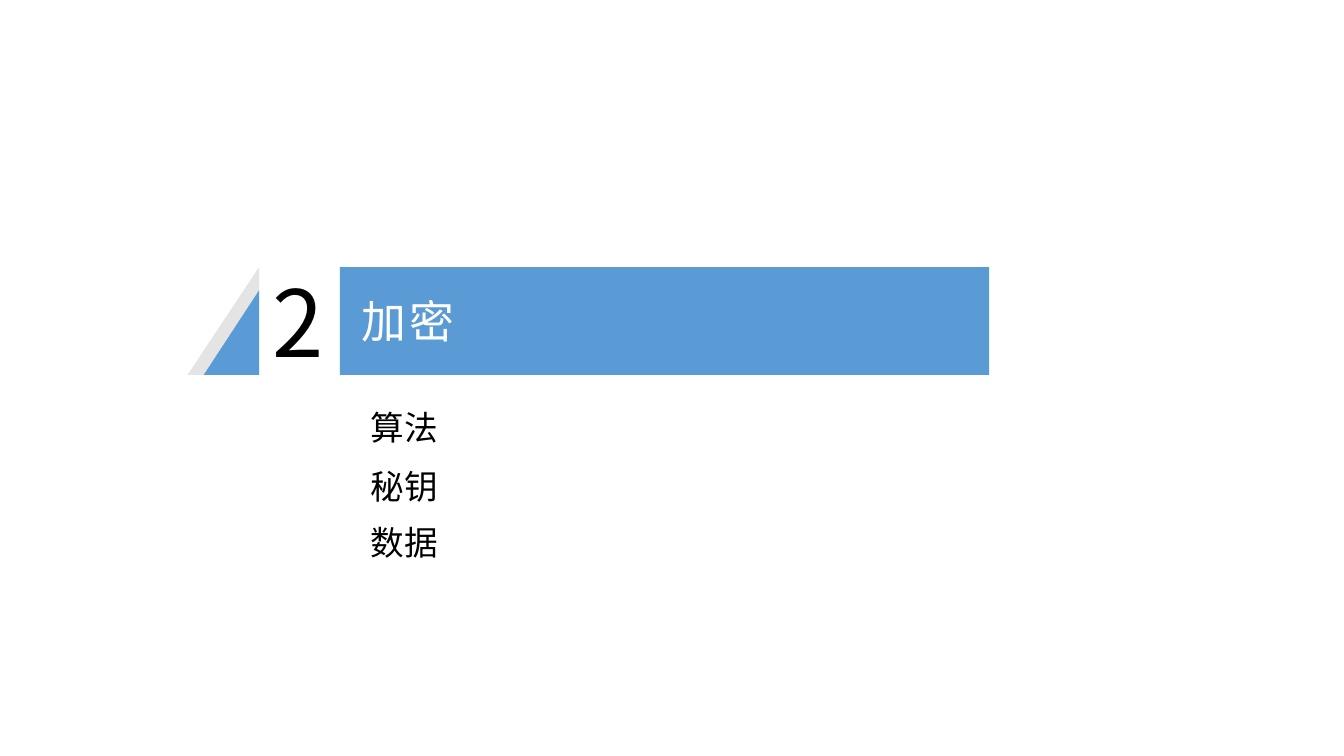
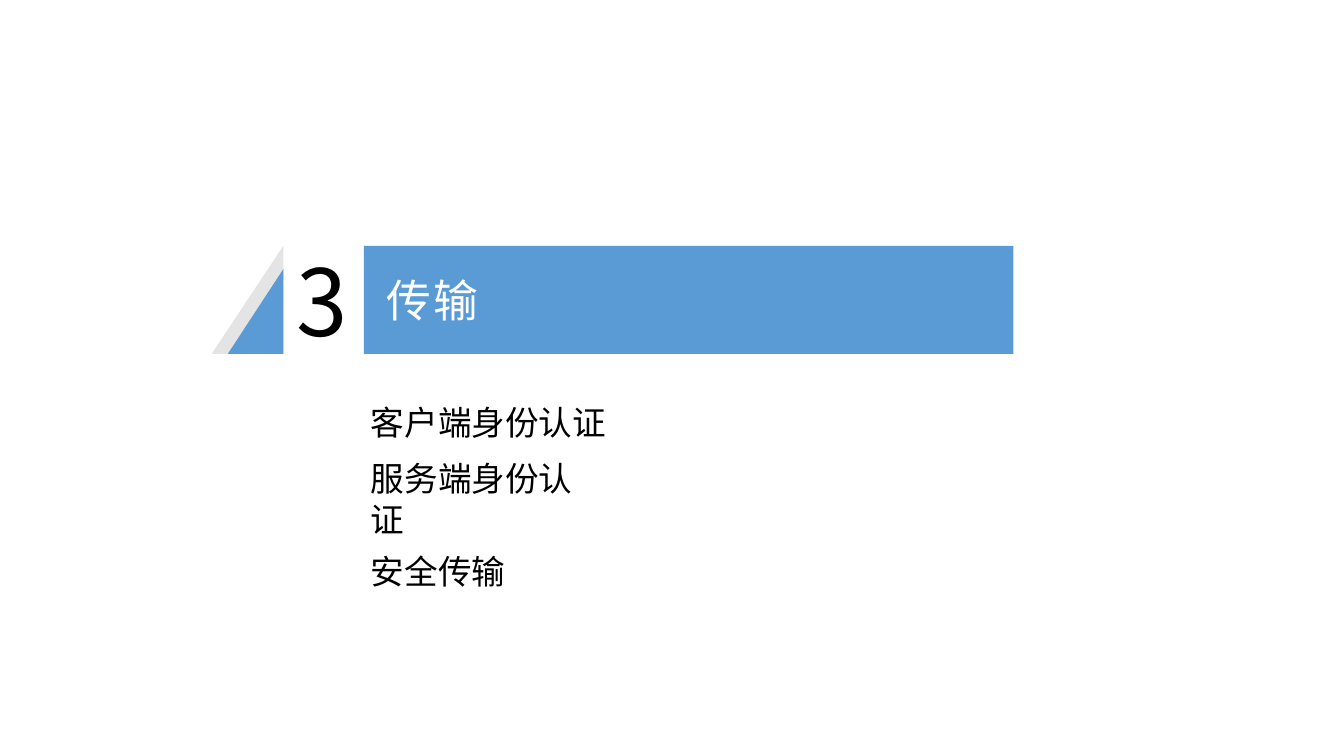
from dataclasses import dataclass

import lxml.etree
import pptx
import pptx.dml.color
import pptx.enum.text
import pptx.oxml.ns
import pptx.util

Inches = pptx.util.Inches


@dataclass(frozen=True)
class Theme:
    band: str = "5B9BD5"
    edge: str = "E4E4E4"
    light: str = "FFFFFF"
    dark: str = "000000"
    display_font: str = "Noto Sans CJK SC"
    body_font: str = "Calibri"
    number_size: int = 66
    title_size: int = 32
    item_size: int = 24
    title_spacing: int = 2


class SectionDeck:
    band_height = 1.07
    item_left = 3.58

    def __init__(self, theme):
        self.theme = theme
        self.deck = pptx.Presentation()
        self.deck.slide_width = Inches(13.33)
        self.deck.slide_height = Inches(7.5)
        self.page = None

    def new_page(self):
        self.page = self.deck.slides.add_slide(self.deck.slide_layouts[6])

    def outline(self, contours, color):
        first, *others = [
            [(Inches(x), Inches(y)) for x, y in contour] for contour in contours
        ]
        builder = self.page.shapes.build_freeform(*first[0])
        builder.add_line_segments(first[1:])
        for contour in others:
            builder.move_to(*contour[0])
            builder.add_line_segments(contour[1:])
        shape = builder.convert_to_shape()
        shape.shadow.inherit = False
        shape.fill.solid()
        shape.fill.fore_color.rgb = pptx.dml.color.RGBColor.from_string(color)
        shape.line.fill.background()
        return shape

    def add_text(self, box, text, size, color, font,
                 align=pptx.enum.text.PP_ALIGN.LEFT, spacing=0):
        frame = box.text_frame
        frame.vertical_anchor = pptx.enum.text.MSO_ANCHOR.MIDDLE
        para = frame.paragraphs[0]
        para.alignment = align
        span = para.add_run()
        span.text = text
        span.font.size = pptx.util.Pt(size)
        span.font.name = font
        span.font.color.rgb = pptx.dml.color.RGBColor.from_string(color)
        properties = span._r.get_or_add_rPr()
        properties.set("lang", "zh-CN")
        if spacing:
            properties.set("spc", str(spacing * 100))
        east_asian = lxml.etree.SubElement(properties, pptx.oxml.ns.qn("a:ea"))
        east_asian.set("typeface", self.theme.display_font)

    def set_margins(self, box, left):
        frame = box.text_frame
        frame.margin_left = Inches(left)
        frame.margin_top = frame.margin_right = frame.margin_bottom = 0
        frame.word_wrap = True

    def text_box(self, left, top, width, height):
        return self.page.shapes.add_textbox(
            Inches(left), Inches(top), Inches(width), Inches(height)
        )

    def header(self, left, top, number, title):
        theme = self.theme
        bottom = top + self.band_height
        slope = left + 0.71
        band_left, band_right = left + 1.51, left + 7.95
        self.outline([[(slope, top), (slope, bottom), (left, bottom)]], theme.edge)
        triangle = [(slope, top + 0.23), (slope, bottom), (left + 0.16, bottom)]
        bar = [
            (band_left, top),
            (band_right, top),
            (band_right, bottom),
            (band_left, bottom),
        ]
        band = self.outline([triangle, bar], theme.band)
        self.set_margins(band, 1.57)
        self.add_text(band, title, theme.title_size, theme.light,
                      theme.display_font, spacing=theme.title_spacing)
        box = self.text_box(left + 0.7, top, 0.79, self.band_height)
        self.set_margins(box, 0)
        self.add_text(box, number, theme.number_size, theme.dark,
                      theme.display_font, pptx.enum.text.PP_ALIGN.CENTER)

    def item(self, text, top, width, height):
        box = self.text_box(self.item_left, top, width, height)
        box.text_frame.word_wrap = False
        self.add_text(box, text, self.theme.item_size, self.theme.dark,
                      self.theme.body_font)

    def section(self, left, top, number, title, items):
        self.new_page()
        self.header(left, top, number, title)
        for item in items:
            self.item(*item)


def main():
    sections = SectionDeck(Theme())
    sections.section(1.86, 2.65, "2", "加密", [
        ("算法", 4, 1, 0.47),
        ("秘钥", 4.55, 2.2, 0.55),
        ("数据", 5.1, 2.2, 0.55),
    ])
    sections.section(2.1, 2.44, "3", "传输", [
        ("客户端身份认证", 3.85, 2.68, 0.68),
        ("服务端身份认证", 4.56, 2.51, 0.77),
        ("安全传输", 5.35, 2.28, 0.63),
    ])
    sections.deck.save("out.pptx")


if __name__ == "__main__":
    main()
